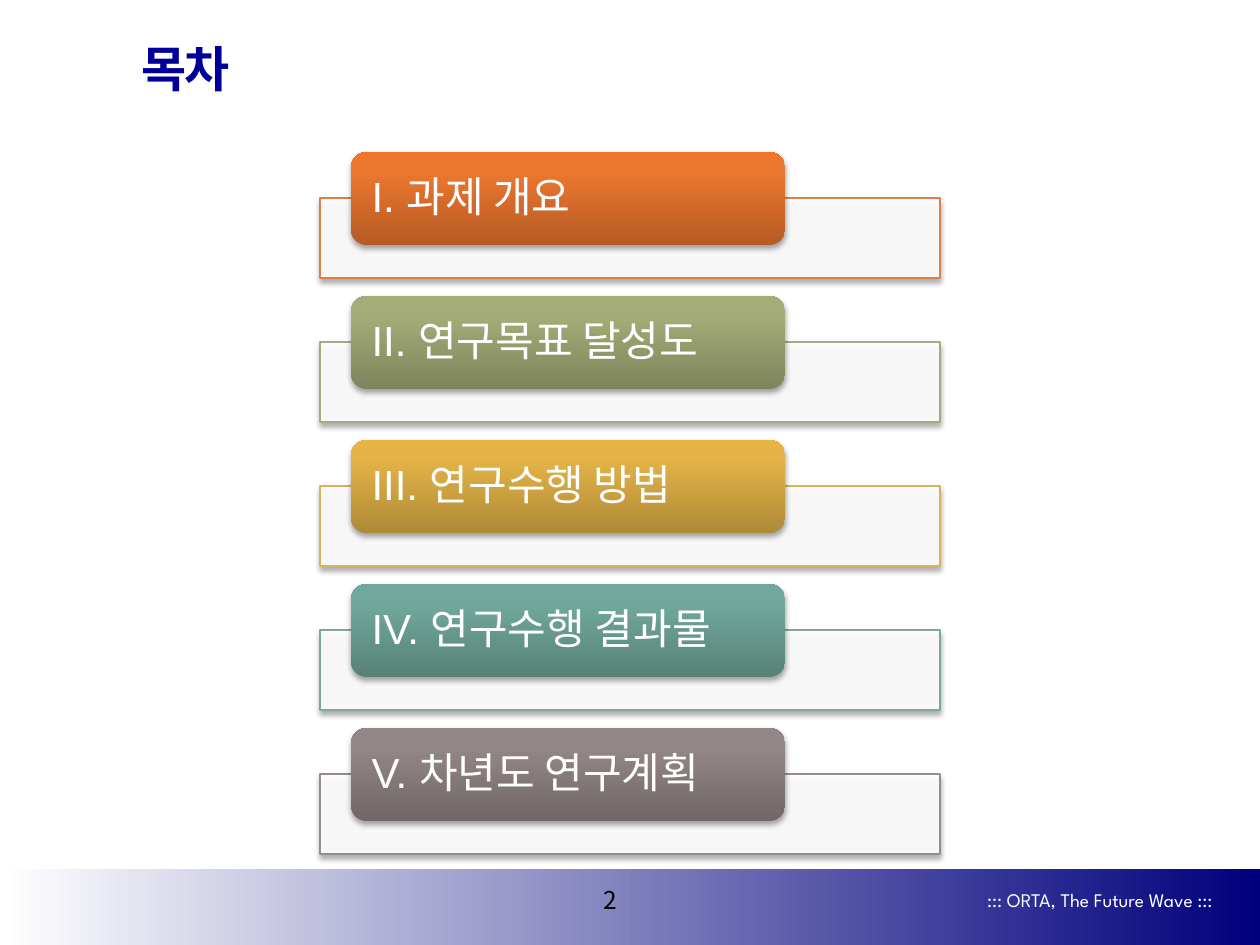
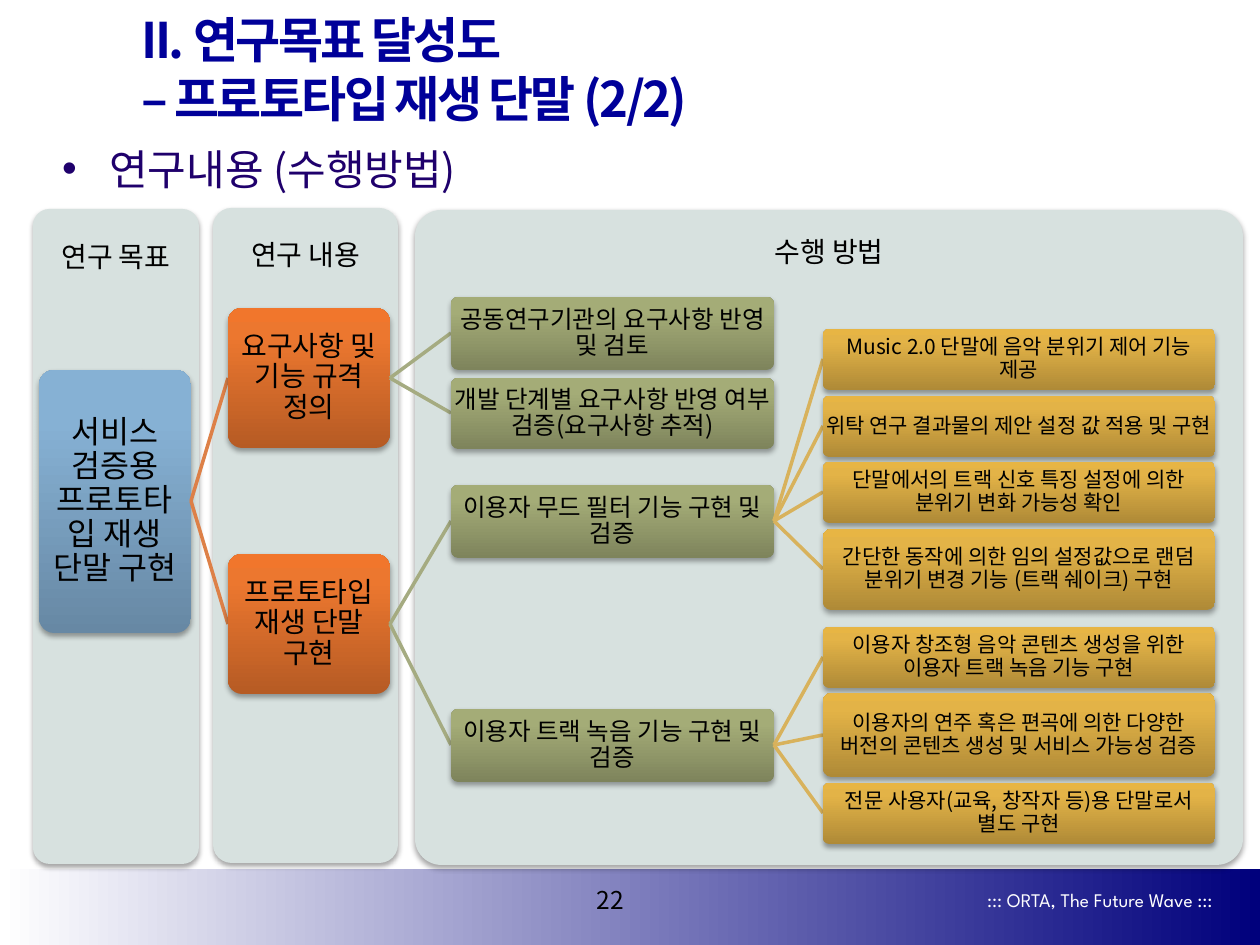
"""Build two slides of a project report: a contents list and a tree of goals, topics and methods."""
from collections import namedtuple

from lxml.etree import SubElement
from pptx import Presentation
from pptx.dml.color import RGBColor
from pptx.enum.shapes import MSO_CONNECTOR as Connector, MSO_SHAPE as Shape
from pptx.enum.text import MSO_ANCHOR as Anchor, MSO_AUTO_SIZE as AutoSize, PP_ALIGN as Align
from pptx.oxml.ns import qn
from pptx.util import Emu, Pt

Tone = namedtuple("Tone", "line dark middle light")
Level = namedtuple("Level", "left width size tone")
Node = namedtuple("Node", "text top height children", defaults=[()])

KOREAN = "Noto Sans CJK KR"
ORANGE = Tone("DD8047", "B65B24", "EC772F", "F1762C")
GREEN = Tone("A5AB81", "7E845C", "A4AC77", "A6AE76")
GOLD = Tone("D8B25C", "AF8A37", "E3B347", "E7B544")
TEAL = Tone("7BA79D", "578278", "71A89C", "70AA9D")
GREY = Tone("968C8C", "716767", "938686", "948787")
BLUE = Tone("94B6D2", "6788A4", "86B1D4", "86B2D7")

CONTENTS = [
    ("I. 과제 개요", ORANGE),
    ("II. 연구목표 달성도", GREEN),
    ("III. 연구수행 방법", GOLD),
    ("IV. 연구수행 결과물", TEAL),
    ("V. 차년도 연구계획", GREY),
]
PANELS = [
    ("연구 목표", 33, 209, 166, 99, 0.1),
    ("연구 내용", 213, 208, 185, 96, 0.1),
    ("수행 방법", 415, 210, 828, 86, 0.04),
]
LEVELS = [
    Level(39, 152, 18, BLUE),
    Level(228, 162, 16, ORANGE),
    Level(451, 323, 14, GREEN),
    Level(823, 392, 12, GOLD),
]
TREE = Node("서비스 검증용 프로토타입 재생 단말 구현", 370, 263, [
    Node("요구사항 및 기능 규격 정의", 308, 140, [
        Node("공동연구기관의 요구사항 반영 및 검토", 297, 73),
        Node("개발 단계별 요구사항 반영 여부 검증(요구사항 추적)", 378, 71),
    ]),
    Node("프로토타입 재생 단말 구현", 554, 140, [
        Node("이용자 무드 필터 기능 구현 및 검증", 485, 73, [
            Node("Music 2.0 단말에 음악 분위기 제어 기능 제공", 329, 61),
            Node("위탁 연구 결과물의 제안 설정 값 적용 및 구현", 396, 61),
            Node("단말에서의 트랙 신호 특징 설정에 의한 분위기 변화 가능성 확인", 462, 61),
            Node("간단한 동작에 의한 임의 설정값으로 랜덤 분위기 변경 기능 (트랙 쉐이크) 구현", 529, 81),
        ]),
        Node("이용자 트랙 녹음 기능 구현 및 검증", 709, 73, [
            Node("이용자 창조형 음악 콘텐츠 생성을 위한 이용자 트랙 녹음 기능 구현", 627, 61),
            Node("이용자의 연주 혹은 편곡에 의한 다양한 버전의 콘텐츠 생성 및 서비스 가능성 검증", 693, 84),
            Node("전문 사용자(교육, 창작자 등)용 단말로서 별도 구현", 783, 61),
        ]),
    ]),
])


def px(length):
    return Emu(round(length * 914400 / 126))


def rgb(value):
    return RGBColor.from_string(value)


class Deck:
    def __init__(self):
        self.presentation = Presentation()
        self.presentation.slide_width = px(1260)
        self.presentation.slide_height = px(945)
        self.slide = None

    def start_slide(self, layout, title, number):
        self.slide = self.presentation.slides.add_slide(self.presentation.slide_layouts[layout])
        band = self.box(Shape.RECTANGLE, 0, 869, 1260, 76)
        self.gradient(band, 0, [(0, "FFFFFF"), (100, "00007C")])
        self.label("::: ORTA, The Future Wave :::", 959, 882, 267, 35, 11, "FFFFFF",
                   "League Spartan", Align.RIGHT)
        self.label(number, 571, 879, 79, 42, 14, "000000", KOREAN)
        heading = self.slide.shapes.title
        self.place(heading, 129, 29, 984, 78)
        paragraph = self.set_text(heading, title, 28, "000099", KOREAN, Align.LEFT)
        paragraph.font.bold = True
        paragraph.font._rPr.set("spc", "-150")

    def place(self, shape, left, top, width, height):
        shape.left, shape.top, shape.width, shape.height = map(px, (left, top, width, height))

    def set_text(self, shape, text, size, color, font, align=Align.CENTER,
                 inset=(13, 6), anchor=Anchor.MIDDLE, spacing=1.0):
        frame = shape.text_frame
        frame.word_wrap = True
        frame.auto_size = AutoSize.NONE
        frame.vertical_anchor = anchor
        frame.margin_left = frame.margin_right = px(inset[0])
        frame.margin_top = frame.margin_bottom = px(inset[1])
        frame.text = text
        paragraph = frame.paragraphs[0]
        paragraph.alignment = align
        paragraph.line_spacing = spacing
        paragraph.space_before = Pt(0)
        paragraph.font.size = Pt(size)
        paragraph.font.name = font
        paragraph.font.color.rgb = rgb(color)
        SubElement(paragraph.font._rPr, qn("a:ea"), typeface=KOREAN)
        return paragraph

    def label(self, text, left, top, width, height, size, color, font,
              align=Align.CENTER, **layout):
        shape = self.slide.shapes.add_textbox(*map(px, (left, top, width, height)))
        self.set_text(shape, text, size, color, font, align, **layout)

    def bullet(self, text, left, top, width, height):
        shape = self.slide.placeholders[1]
        self.place(shape, left, top, width, height)
        properties = shape.text_frame.paragraphs[0]._p.get_or_add_pPr()
        properties.set("marL", str(px(36)))
        properties.set("indent", str(px(-36)))
        SubElement(properties, qn("a:buSzPct"), val="80000")
        SubElement(properties, qn("a:buFont"), typeface="Arial")
        SubElement(properties, qn("a:buChar"), char="•")
        self.set_text(shape, text, 24, "1F006C", KOREAN, Align.LEFT, anchor=Anchor.TOP)

    def box(self, kind, left, top, width, height, fill=None, line=None, corner=None):
        shape = self.slide.shapes.add_shape(kind, *map(px, (left, top, width, height)))
        shape.shadow.inherit = False
        if corner is not None:
            shape.adjustments[0] = corner
        if fill:
            shape.fill.solid()
            shape.fill.fore_color.rgb = rgb(fill)
        if line:
            shape.line.color.rgb = rgb(line)
            shape.line.width = Pt(0.75)
        else:
            shape.line.fill.background()
        return shape

    def gradient(self, shape, angle, stops):
        shape.fill.gradient()
        shape.fill.gradient_angle = angle
        stop_list = shape._element.spPr.find(qn("a:gradFill")).find(qn("a:gsLst"))
        for stop in list(stop_list):
            stop_list.remove(stop)
        for position, color in stops:
            stop = SubElement(stop_list, qn("a:gs"), pos=str(position * 1000))
            SubElement(stop, qn("a:srgbClr"), val=color)

    def shade(self, shape):
        effects = shape._element.spPr.find(qn("a:effectLst"))
        shadow = SubElement(effects, qn("a:outerShdw"), blurRad=str(Pt(3.1)), dist=str(Pt(1.8)),
                            dir="5400000", rotWithShape="0")
        color = SubElement(shadow, qn("a:srgbClr"), val="000000")
        SubElement(color, qn("a:alpha"), val="35000")

    def glossy_box(self, left, top, width, height, tone, corner=None):
        shape = self.box(Shape.ROUNDED_RECTANGLE, left, top, width, height, corner=corner)
        self.gradient(shape, 90, [(0, tone.dark), (80, tone.middle), (100, tone.light)])
        self.shade(shape)
        return shape

    def contents_entry(self, text, tone, top):
        bar = self.box(Shape.RECTANGLE, 320, top + 46, 620, 80, "FFFFFF", tone.line)
        color = bar._element.spPr.find(qn("a:solidFill"))[0]
        SubElement(color, qn("a:alpha"), val="90000")
        self.shade(bar)
        tab = self.glossy_box(351, top, 434, 93, tone)
        self.set_text(tab, text, 24, "FFFFFF", "Arial", Align.LEFT, (16, 0), spacing=0.9)

    def panel(self, heading, left, top, width, heading_height, corner):
        shape = self.box(Shape.ROUNDED_RECTANGLE, left, top, width, 655, "D7E1DF", corner=corner)
        self.shade(shape)
        self.label(heading, left, top, width, heading_height, 16, "000000", "Arial",
                   inset=(20, 20), spacing=0.9)

    def branch(self, start, end, color):
        line = self.slide.shapes.add_connector(Connector.STRAIGHT, *map(px, start + end))
        line.line.color.rgb = rgb(color)
        line.line.width = Pt(2)
        SubElement(line._element.spPr, qn("a:effectLst"))

    def tree(self, node, depth=0, parent_edge=None):
        left, width, size, tone = LEVELS[depth]
        middle = node.top + node.height // 2
        if parent_edge:
            self.branch(parent_edge, (left, middle), tone.line)
        shape = self.glossy_box(left, node.top, width, node.height, tone, 0.1)
        self.set_text(shape, node.text, size, "000000", KOREAN, inset=(1, 1), spacing=0.9)
        for child in node.children:
            self.tree(child, depth + 1, (left + width, middle))


def main():
    deck = Deck()
    deck.start_slide(5, "목차", "2")
    for index, (text, tone) in enumerate(CONTENTS):
        deck.contents_entry(text, tone, 152 + 144 * index)

    deck.start_slide(1, "II. 연구목표 달성도\v– 프로토타입 재생 단말 (2/2)", "22")
    deck.bullet("연구내용 (수행방법)", 49, 137, 1177, 70)
    for panel in PANELS:
        deck.panel(*panel)
    deck.tree(TREE)
    deck.presentation.save("out.pptx")


if __name__ == "__main__":
    main()
